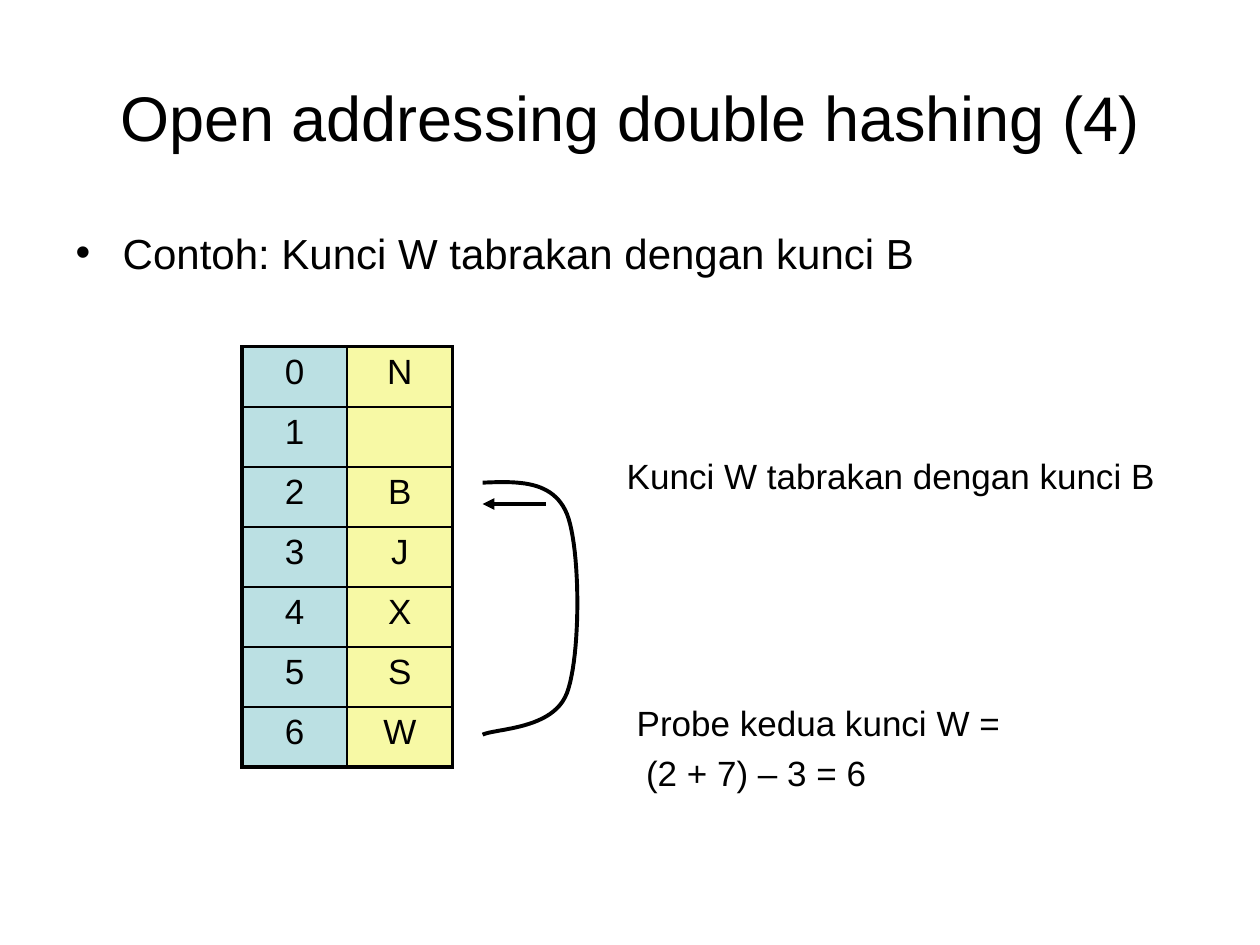
"""Build a slide that shows double hashing with a probe table."""
import pptx
import pptx.dml.color
import pptx.enum.shapes
import pptx.enum.text
import pptx.oxml.ns
import pptx.util
from lxml import etree

Cm = pptx.util.Cm
Pt = pptx.util.Pt
qn = pptx.oxml.ns.qn
BLACK = pptx.dml.color.RGBColor(0x00, 0x00, 0x00)
INDEX_BLUE = pptx.dml.color.RGBColor(0xBB, 0xE0, 0xE3)
KEY_YELLOW = pptx.dml.color.RGBColor(0xF7, 0xF9, 0xA5)
THICK = Pt(2.25)
THIN = Pt(1)


def write(para, text, size, align):
    para.text = text
    para.alignment = align
    para.font.name = "Arial"
    para.font.size = Pt(size)
    para.font.color.rgb = BLACK


def add_border(cell, side, width):
    border = etree.SubElement(cell._tc.get_or_add_tcPr(), qn(f"a:ln{side}"), w=str(width))
    fill = etree.SubElement(border, qn("a:solidFill"))
    etree.SubElement(fill, qn("a:srgbClr"), val=str(BLACK))


deck = pptx.Presentation()
deck.slide_width = Cm(25.4)
deck.slide_height = Cm(19.05)
page = deck.slides.add_slide(deck.slide_layouts[1])
LEFT = pptx.enum.text.PP_ALIGN.LEFT
CENTER = pptx.enum.text.PP_ALIGN.CENTER

title = page.shapes.title
title.left, title.top, title.width, title.height = Cm(1.27), Cm(0.76), Cm(22.86), Cm(3.18)
title.text_frame.auto_size = pptx.enum.text.MSO_AUTO_SIZE.NONE
title.text_frame.vertical_anchor = pptx.enum.text.MSO_ANCHOR.MIDDLE
write(title.text_frame.paragraphs[0], "Open addressing double hashing (4)", 36, CENTER)

body = page.placeholders[1]
body.left, body.top, body.width, body.height = Cm(1.27), Cm(4.45), Cm(23.06), Cm(14.17)
body.text_frame.auto_size = pptx.enum.text.MSO_AUTO_SIZE.NONE
lines = [
    ("Contoh: Kunci W tabrakan dengan kunci B", 24, 0, 0.95, "•"),
    ("Kunci W tabrakan dengan kunci B", 20, 101, 11.11, None),
    ("Probe kedua kunci W =", 20, 117, 11.31, None),
    ("(2 + 7) – 3 = 6", 20, 5, 11.5, None),
]
for number, (text, size, space, margin, bullet) in enumerate(lines):
    para = body.text_frame.add_paragraph() if number else body.text_frame.paragraphs[0]
    write(para, text, size, LEFT)
    para.space_before = Pt(space)
    properties = para._p.get_or_add_pPr()
    properties.set("marL", str(Cm(margin)))
    properties.set("indent", str(-Cm(margin) if bullet else 0))
    if bullet:
        etree.SubElement(properties, qn("a:buChar"), char=bullet)
    else:
        etree.SubElement(properties, qn("a:buNone"))
    properties.append(properties.find(qn("a:defRPr")))

keys = ["N", "", "B", "J", "X", "S", "W"]
last = len(keys) - 1
table = page.shapes.add_table(len(keys), 2, Cm(4.88), Cm(6.99), Cm(4.24), Cm(8.47)).table
table.first_row = False
table.horz_banding = False
for row, key in enumerate(keys):
    table.rows[row].height = Cm(1.21)
    for column, (text, color) in enumerate([(str(row), INDEX_BLUE), (key, KEY_YELLOW)]):
        cell = table.cell(row, column)
        write(cell.text_frame.paragraphs[0], text, 20, CENTER)
        outer = {"L": column == 0, "R": column == 1, "T": row == 0, "B": row == last}
        for side, is_outer in outer.items():
            add_border(cell, side, THICK if is_outer else THIN)
        cell.fill.solid()
        cell.fill.fore_color.rgb = color

arrow = page.shapes.add_connector(
    pptx.enum.shapes.MSO_CONNECTOR.STRAIGHT, Cm(11), Cm(10.16), Cm(9.73), Cm(10.16)
)
arrow.line.color.rgb = BLACK
arrow.line.width = THICK
etree.SubElement(arrow.line._get_or_add_ln(), qn("a:tailEnd"), type="triangle")
etree.SubElement(arrow._element.spPr, qn("a:effectLst"))

controls = [
    (9.73, 9.73), (10.44, 9.7), (11.15, 9.68), (11.43, 10.36), (11.71, 11.07),
    (11.71, 13.23), (11.43, 13.97), (11.15, 14.71), (10.01, 14.68), (9.73, 14.81),
]
steps = 24
points = []
for first in range(0, len(controls) - 1, 3):
    for step in range(1, steps + 1):
        t = step / steps
        weights = [(1 - t) ** 3, 3 * t * (1 - t) ** 2, 3 * t**2 * (1 - t), t**3]
        segment = list(zip(weights, controls[first:first + 4]))
        points.append(tuple(Cm(sum(w * p[axis] for w, p in segment)) for axis in (0, 1)))
outline = page.shapes.build_freeform(Cm(controls[0][0]), Cm(controls[0][1]))
outline.add_line_segments(points, close=False)
probe_curve = outline.convert_to_shape()
probe_curve.shadow.inherit = False
probe_curve.fill.background()
probe_curve.line.color.rgb = BLACK
probe_curve.line.width = THICK

deck.save("out.pptx")
